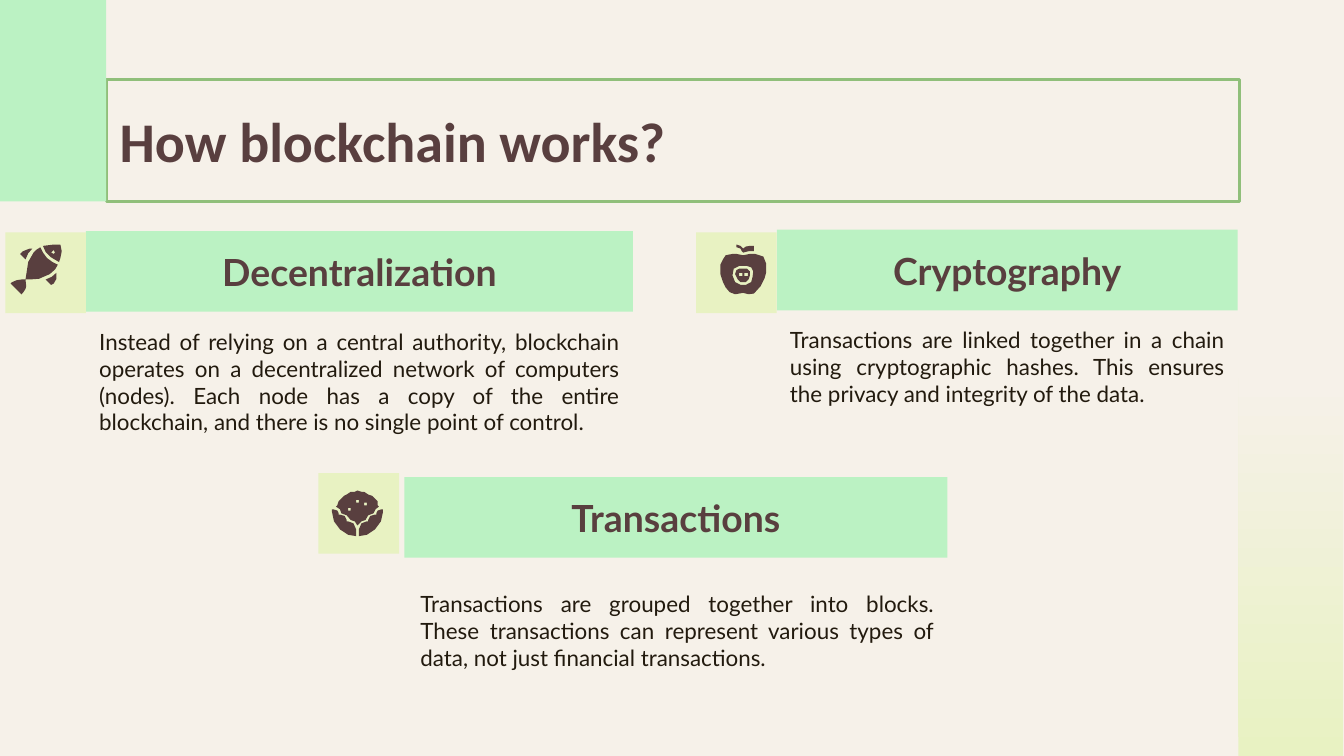
import pptx
import pptx.dml.color
import pptx.enum.shapes
import pptx.enum.text
import pptx.util
from dataclasses import dataclass

Inches = pptx.util.Inches
Align = pptx.enum.text.PP_ALIGN
Anchor = pptx.enum.text.MSO_ANCHOR
RECT = pptx.enum.shapes.MSO_SHAPE.RECTANGLE


@dataclass(frozen=True)
class Theme:
    paper: str = "F6F1E9"
    mint: str = "BBF2C3"
    lime: str = "E8F2C2"
    brown: str = "593F3F"
    ink: str = "221A0E"
    green: str = "90BF7A"
    font: str = "Lato"
    head: str = "Calibri"
    big: int = 30
    mid: int = 20
    small: int = 12


T = Theme()
TILE = 0.6


def block(left, top, side=2):
    """A square hole in an icon."""
    right, low = left + side, top + side
    return [(left, top), (right, top), (right, low), (left, low)]


# Each icon is a list of parts, each part a list of closed outlines,
# in hundredths of an inch from the corner of its tile.
FISH = [
    [[(18, 12), (13, 14), (11, 16), (15, 20), (17, 15.5), (20, 12)]],
    [[(38, 30), (34.5, 33), (30, 35), (34, 39), (36, 38), (38, 34.5)]],
    [[(36, 9), (28, 10), (30, 14.5), (34, 18.5), (40, 22), (41, 19),
      (42, 14), (41, 9)],
     [(36, 13), (37, 15), (36, 16), (34, 15)]],
    [[(26, 11), (23, 13), (21, 15), (17, 22), (15, 35), (12, 35),
      (8.5, 35.5), (5, 37), (4, 38), (12, 46), (13, 45), (15, 42),
      (15.5, 40), (15, 35), (18, 35), (25, 34.5), (33, 31), (37, 27.5),
      (39, 24), (35, 22), (31, 19), (28, 15)]],
]
APPLE = [
    [[(30, 9), (30, 11), (33, 12), (34, 14), (35, 15), (39, 14), (43, 14),
      (43, 10), (40, 10), (37, 10.5), (35, 12), (33, 10)]],
    [[(32, 27), (30, 28), (29, 31), (31, 35), (33, 37), (37, 37), (39, 35),
      (40, 32), (40, 29), (38, 27)],
     block(32, 30, 2.5), block(36, 30, 2.5)],
    [[(27, 16), (22, 17), (20, 20), (18, 24), (18, 31), (20, 37), (22, 41),
      (25, 44.5), (29, 46), (35, 45), (39, 46), (43, 45.5), (48, 40),
      (51, 34), (52, 30), (52, 23), (50, 18), (44, 16), (40, 16), (35, 17),
      (30, 16)],
     [(32, 25), (38, 25), (41, 26), (42.5, 29), (42, 33), (41, 37), (37, 39),
      (33, 39), (29, 37), (27, 32), (28, 27)]],
]
LEAF = [(47, 27), (44, 28), (43, 30), (43, 31), (42, 31), (38.5, 32),
        (37, 35), (37, 36), (36, 36), (32, 37.5), (30, 42), (30, 47),
        (36, 46), (42, 42), (46.5, 36), (48, 29), (48, 27)]
PLANT = [
    [[(29, 13), (27, 14), (24, 14), (21, 16), (19, 17), (17, 19), (15, 21),
      (14, 24), (13, 25), (16, 27), (17, 30), (21, 31.5), (24, 35), (27, 36),
      (29, 39), (32, 36), (35, 35), (37, 31.5), (41, 30), (42.5, 27),
      (45, 25), (44, 24), (44, 21), (42, 19), (40, 17), (37, 16), (34, 14),
      (32, 14)],
     block(28, 20), block(34, 22), block(22, 26)],
    [LEAF],
    [[(58 - x, y) for x, y in LEAF]],
]


def tint(name):
    return pptx.dml.color.RGBColor.from_string(name)


def paint(shape, color):
    shape.shadow.inherit = False
    shape.fill.solid()
    shape.fill.fore_color.rgb = tint(color)
    shape.line.fill.background()


def rect(slide, box, color):
    shape = slide.shapes.add_shape(RECT, *map(Inches, box))
    paint(shape, color)
    return shape


def write(shape, text, size, color, font, align, anchor, bold=False):
    frame = shape.text_frame
    frame.auto_size = pptx.enum.text.MSO_AUTO_SIZE.NONE
    frame.word_wrap = True
    frame.vertical_anchor = anchor
    frame.margin_left = frame.margin_right = Inches(0.1)
    frame.margin_top = frame.margin_bottom = Inches(0.1)
    line = frame.paragraphs[0]
    line.alignment = align
    run = line.add_run()
    run.text = text
    run.font.size = pptx.util.Pt(size)
    run.font.name = font
    run.font.bold = bold
    run.font.color.rgb = tint(color)


def decor(slide):
    """Background, corner block and fading side strip."""
    slide.background.fill.solid()
    slide.background.fill.fore_color.rgb = tint(T.paper)
    rect(slide, (0, 0, 0.79, 1.5), T.mint)
    strip = rect(slide, (8.2, 3.83, 2.81, 0.78), T.lime)
    strip.rotation = 270
    strip.fill.gradient()
    strip.fill.gradient_angle = 0
    for stop, color in zip(strip.fill.gradient_stops, (T.lime, T.paper)):
        stop.color.rgb = tint(color)


def banner(slide, box, text):
    title = slide.shapes.title
    title.left, title.top, title.width, title.height = map(Inches, box)
    title.line.color.rgb = tint(T.green)
    title.line.width = pptx.util.Pt(1.5)
    write(title, text, T.big, T.brown, T.head, Align.LEFT, Anchor.MIDDLE, True)


def icon(slide, left, top, parts):
    rect(slide, (left, top, TILE, TILE), T.lime)
    for part in parts:
        rings = [[(x * 10, y * 10) for x, y in ring] for ring in part]
        pen = slide.shapes.build_freeform(*rings[0][0], scale=Inches(0.001))
        for ring in rings:
            if ring is not rings[0]:
                pen.move_to(*ring[0])
            pen.add_line_segments(ring[1:], close=True)
        paint(pen.convert_to_shape(Inches(left), Inches(top)), T.brown)


def topic(slide, box, head, text, parts, tile, note):
    """Heading bar; tile and note are offsets from the corner of the box."""
    left, top, width, height = box
    bar = rect(slide, (left, top, width, TILE), T.mint)
    write(bar, head, T.mid, T.brown, T.font, Align.CENTER, Anchor.MIDDLE, True)
    area = (left + note[0], top + note[1], width - note[0], height - note[1])
    body = slide.shapes.add_textbox(*map(Inches, area))
    write(body, text, T.small, T.ink, T.font, Align.JUSTIFY, Anchor.TOP)
    icon(slide, left + tile[0], top + tile[1], parts)


def main():
    deck = pptx.Presentation()
    deck.slide_width = Inches(10)
    deck.slide_height = deck.slide_width * 9 // 16
    slide = deck.slides.add_slide(deck.slide_layouts[5])
    decor(slide)
    banner(slide, (0.79, 0.59, 8.43, 0.91), "How blockchain works?")
    topic(slide, (0.64, 1.72, 4.07, 1.72), "Decentralization",
          "Instead of relying on a central authority, blockchain operates on a "
          "decentralized network of computers (nodes). Each node has a copy of "
          "the entire blockchain, and there is no single point of control.",
          FISH, (-TILE, 0.01), (0, 0.62))
    topic(slide, (5.78, 1.71, 3.43, 1.51), "Cryptography",
          "Transactions are linked together in a chain using cryptographic "
          "hashes. This ensures the privacy and integrity of the data.",
          APPLE, (-TILE, 0.02), (0, 0.62))
    topic(slide, (3.01, 3.55, 4.04, 1.63), "Transactions",
          "Transactions are grouped together into blocks. These transactions "
          "can represent various types of data, not just financial "
          "transactions.",
          PLANT, (-0.64, -0.03), (0.02, 0.74))
    deck.save("out.pptx")


if __name__ == "__main__":
    main()
